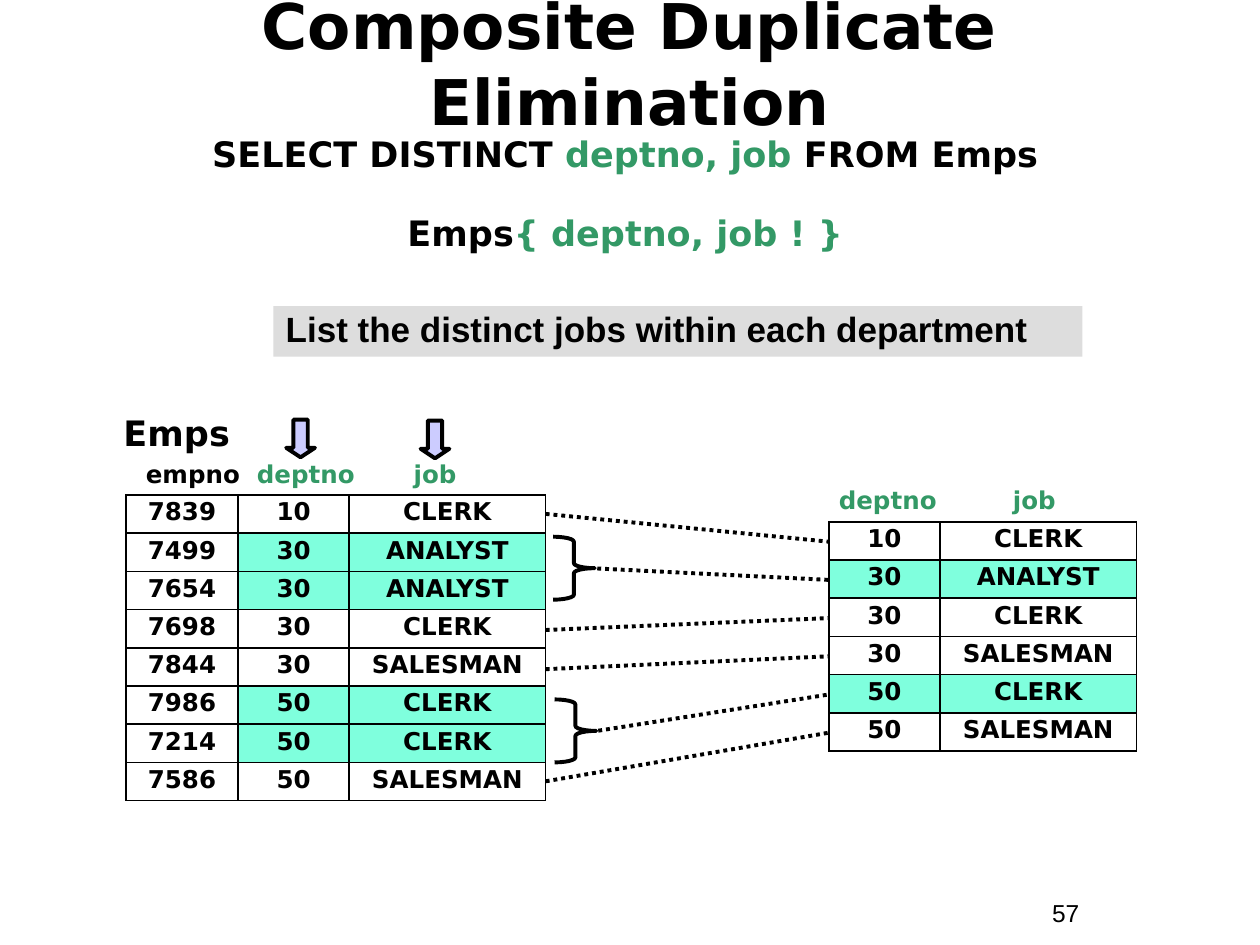
"""Build the slide on composite duplicate elimination."""
from collections import Counter

from lxml.etree import SubElement as Sub
from pptx import Presentation as Deck
from pptx.dml.color import RGBColor
from pptx.enum.dml import MSO_LINE as Dash
from pptx.enum.shapes import MSO_CONNECTOR as Wire, MSO_SHAPE as Form
from pptx.enum.text import MSO_ANCHOR as Anchor, MSO_AUTO_SIZE as Fit, PP_ALIGN as Align
from pptx.oxml.ns import qn
from pptx.util import Cm, Pt

BLACK = RGBColor(0, 0, 0)
GREEN = RGBColor(0x33, 0x99, 0x66)
MINT = RGBColor(0x7F, 0xFF, 0xDD)
GREY = RGBColor(0xDD, 0xDD, 0xDD)
LILAC = RGBColor(0xCC, 0xCC, 0xFF)

ROW = 0.77
EMPS = [
    ("7839", "10", "CLERK"),
    ("7499", "30", "ANALYST"),
    ("7654", "30", "ANALYST"),
    ("7698", "30", "CLERK"),
    ("7844", "30", "SALESMAN"),
    ("7986", "50", "CLERK"),
    ("7214", "50", "CLERK"),
    ("7586", "50", "SALESMAN"),
]


class Page:
    """Hold the style and the current slide."""

    font = "DejaVu Sans"
    thick = Pt(2.25)
    thin = Pt(1.08)

    def __init__(self, deck):
        self.slide = deck.slides.add_slide(deck.slide_layouts[5])

    def format(self, para, size, tints=(BLACK,), bold=True, font=None):
        for run, tint in zip(para.runs, tints):
            run.font.size = Pt(size)
            run.font.bold = bold
            run.font.name = font or self.font
            run.font.color.rgb = tint

    def title(self, text, box):
        shape = self.slide.shapes.title
        shape.left, shape.top, shape.width, shape.height = map(Cm, box)
        frame = shape.text_frame
        frame.text = text
        frame.auto_size = Fit.NONE
        frame.vertical_anchor = Anchor.MIDDLE
        para = frame.paragraphs[0]
        para.alignment = Align.CENTER
        self.format(para, 36)

    def text(self, lines, box, size, align=Align.LEFT, space=None, gap=0, tabs=(), **style):
        frame = self.slide.shapes.add_textbox(*map(Cm, box)).text_frame
        frame.word_wrap = True
        for i, parts in enumerate(lines):
            para = frame.add_paragraph() if i else frame.paragraphs[0]
            para.alignment = align
            para.line_spacing = space
            if i:
                para.space_before = Pt(gap)
            if tabs:
                stops = Sub(para._p.get_or_add_pPr(), qn("a:tabLst"))
                for stop in tabs:
                    Sub(stops, qn("a:tab"), pos=str(Cm(stop)), algn="l")
            for part, _ in parts:
                para.add_run().text = part
            self.format(para, size, [tint for _, tint in parts], **style)

    def shape(self, form, box, fill=None, line=None, adjust=()):
        shape = self.slide.shapes.add_shape(form, *map(Cm, box))
        shape.shadow.inherit = False
        for i, value in enumerate(adjust):
            shape.adjustments[i] = value
        if fill is None:
            shape.fill.background()
        else:
            shape.fill.solid()
            shape.fill.fore_color.rgb = fill
        if line is None:
            shape.line.fill.background()
        else:
            shape.line.color.rgb = line
            shape.line.width = self.thick
        return shape

    def banner(self, text, box):
        frame = self.shape(Form.RECTANGLE, box, GREY).text_frame
        frame.text = text
        frame.word_wrap = True
        frame.vertical_anchor = Anchor.MIDDLE
        para = frame.paragraphs[0]
        para.alignment = Align.LEFT
        para.line_spacing = 0.9
        self.format(para, 20, font="Arial")

    def link(self, *ends):
        line = self.slide.shapes.add_connector(Wire.STRAIGHT, *map(Cm, ends))
        line.line.color.rgb = BLACK
        line.line.width = self.thick
        line.line.dash_style = Dash.ROUND_DOT
        Sub(line._element.spPr, qn("a:effectLst"))

    def border(self, cell):
        props = cell._tc.get_or_add_tcPr()
        for side in ("lnL", "lnR", "lnT", "lnB"):
            edge = Sub(props, qn("a:" + side), w=str(self.thin))
            fill = Sub(edge, qn("a:solidFill"))
            Sub(fill, qn("a:srgbClr"), val=str(BLACK))

    def table(self, rows, left, top, widths, twins):
        size = Cm(left), Cm(top), Cm(sum(widths)), Cm(ROW * len(rows))
        grid = self.slide.shapes.add_table(len(rows), len(widths), *size).table
        grid.first_row = grid.horz_banding = False
        for col, width in zip(grid.columns, widths):
            col.width = Cm(width)
        for r, row in enumerate(rows):
            grid.rows[r].height = Cm(ROW)
            for c, text in enumerate(row):
                cell = grid.cell(r, c)
                self.border(cell)
                if row[-2:] in twins and c >= len(row) - 2:
                    cell.fill.solid()
                    cell.fill.fore_color.rgb = MINT
                else:
                    cell.fill.background()
                cell.text = text
                para = cell.text_frame.paragraphs[0]
                para.alignment = Align.CENTER
                para.line_spacing = 0.85
                self.format(para, 14)


def main():
    deck = Deck()
    deck.slide_width, deck.slide_height = Cm(25.4), Cm(19.05)
    page = Page(deck)
    page.title("Composite Duplicate Elimination", (0.84, 0.2, 23.7, 2.11))
    query = [
        [("SELECT DISTINCT ", BLACK), ("deptno, job", GREEN), (" FROM Emps", BLACK)],
        [("Emps", BLACK), ("{ deptno, job ! }", GREEN)],
    ]
    page.text(query, (3.18, 2.74, 18.85, 2.54), 20, Align.CENTER, 0.75, 27)
    page.banner("List the distinct jobs within each department", (5.51, 6.17, 16.31, 1.02))

    count = Counter(row[1:] for row in EMPS)
    twins = {pair for pair, n in count.items() if n > 1}
    pairs = sorted(count)
    page.table(EMPS, 2.54, 9.98, (2.26, 2.24, 3.96), twins)
    page.table(pairs, 16.71, 10.52, (2.24, 3.96), twins)

    page.text([[("Emps", BLACK)]], (2.24, 8.18, 5.92, 1.12), 20)
    heads = [[("empno\t", BLACK), ("deptno\tjob", GREEN)]]
    page.text(heads, (2.69, 9.12, 7.47, 0.86), 14, tabs=(2.24, 5.4))
    page.text([[("deptno\tjob", GREEN)]], (16.66, 9.65, 6.63, 0.86), 14, tabs=(3.51,))

    for left, top in ((5.77, 8.46), (8.48, 8.48)):
        page.shape(Form.DOWN_ARROW, (left, top, 0.58, 0.76), LILAC, BLACK, (0.5, 0.33))
    for left, top in ((11.15, 10.82), (11.18, 14.1)):
        page.shape(Form.RIGHT_BRACE, (left, top, 0.84, 1.27), line=BLACK, adjust=(0.12, 0.5))

    starts = [(11, 10.36), (12.04, 11.46), (11, 12.7), (11, 13.49), (12.06, 14.73), (11, 15.75)]
    for i, (left, top) in enumerate(starts):
        page.link(left, top, 16.71, 10.92 + ROW * i)

    page.text([[("57", BLACK)]], (20.96, 17.98, 2.34, 0.86), 14, bold=False, font="Arial")
    deck.save("out.pptx")


if __name__ == "__main__":
    main()
